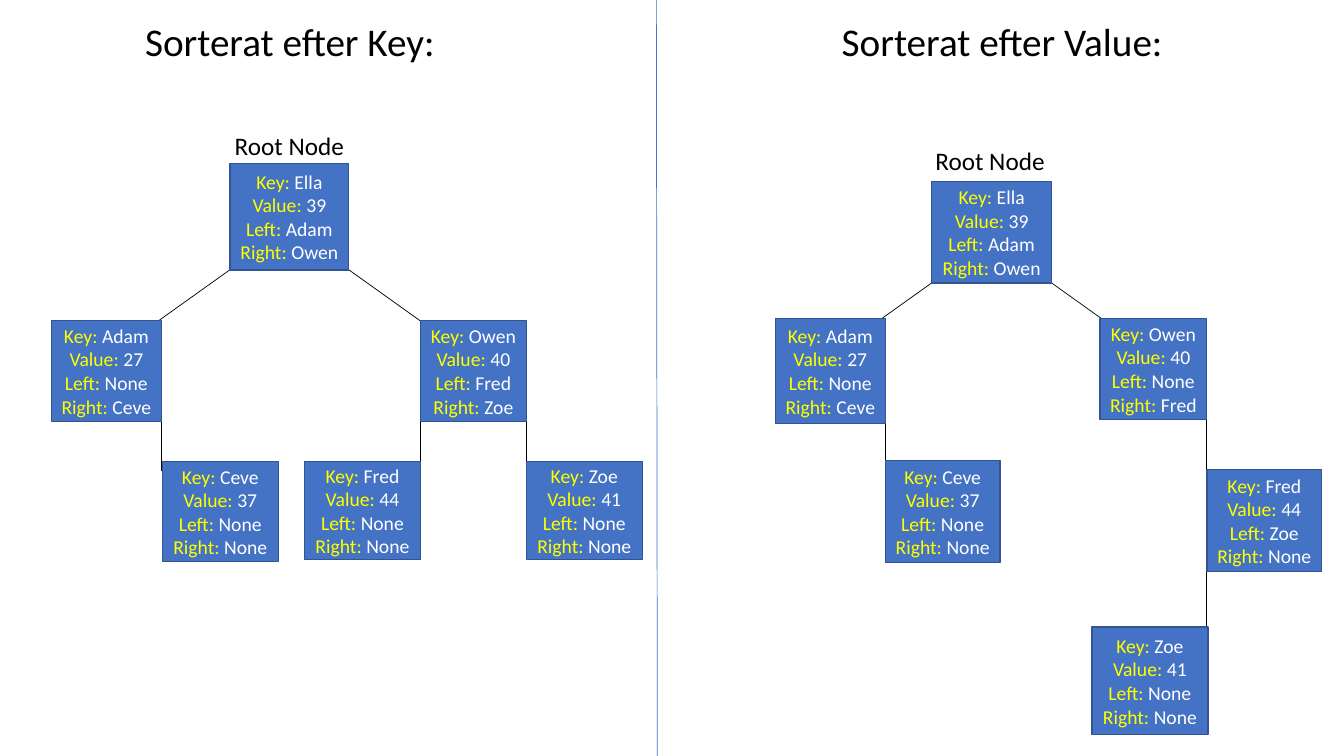
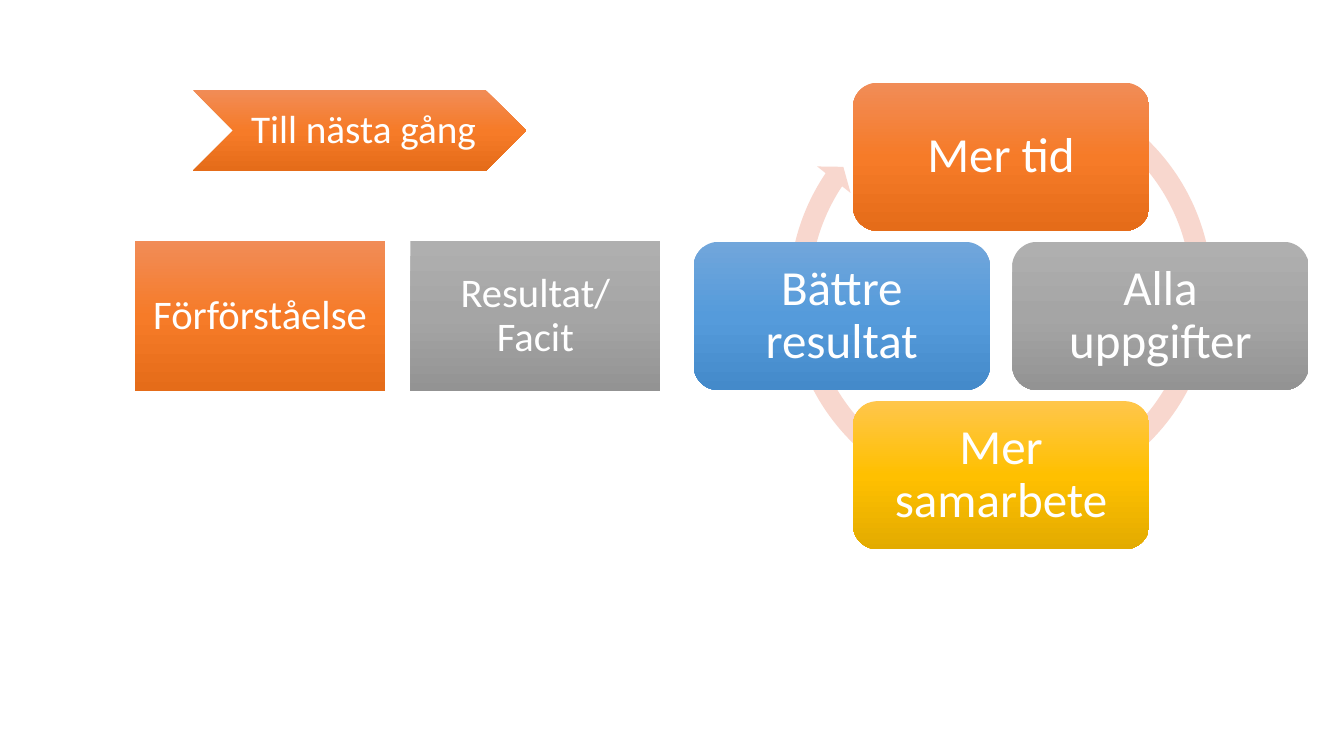
import copy

import pptx
import pptx.dml.color
import pptx.enum.shapes
import pptx.enum.text
import pptx.oxml
import pptx.oxml.ns
import pptx.util

Inches = pptx.util.Inches
Pt = pptx.util.Pt
SHAPE = pptx.enum.shapes.MSO_SHAPE
CENTER = pptx.enum.text.PP_ALIGN.CENTER
MIDDLE = pptx.enum.text.MSO_ANCHOR.MIDDLE
GROW = pptx.enum.text.MSO_AUTO_SIZE.SHAPE_TO_FIT_TEXT

FONT = "Calibri"
BLACK, WHITE, YELLOW = "000000", "FFFFFF", "FFFF00"
BLUE, NODE_BORDER, CYCLE_RING = "4472C4", "325491", "F8D7CE"
ORANGE_SHADES = ("F18C57", "F67B28", "E56C19")
GRAY_SHADES = ("AFAFAF", "A5A5A5", "939393")
GOLD_SHADES = ("FFC64B", "FFC000", "E3AB00")
BLUE_SHADES = ("71A6DB", "559BDB", "448ACA")

FIELDS = ("Key: ", "Value: ", "Left: ", "Right: ")
BRANCH_INSET = (0.08, 0.06)
BRANCH_REACH = (1.19, 0.85)

KEY_TREE = {
    "title": ("Sorterat efter Key:", (1.34, 0.12, 3.32, 0.57)),
    "root_label": (2.23, 1.24, 3, 0.4),
    "nodes": {
        "Ella": ((2.28, 1.62, 1.18, 1.06), ("39", "Adam", "Owen")),
        "Adam": ((0.51, 3.18, 1.09, 1), ("27", "None", "Ceve")),
        "Owen": ((4.17, 3.18, 1.05, 1), ("40", "Fred", "Zoe")),
        "Fred": ((3.02, 4.58, 1.15, 0.97), ("44", "None", "None")),
        "Zoe": ((5.22, 4.58, 1.15, 0.97), ("41", "None", "None")),
        "Ceve": ((1.61, 4.58, 1.15, 0.99), ("37", "None", "None")),
    },
    "drops": (("Owen", "right", 3.72, 5.07), ("Owen", "left", 3.53, 5.09),
              ("Adam", "right", 4.17, 4.67)),
}
VALUE_TREE = {
    "title": ("Sorterat efter Value:", (8.25, 0.12, 3.59, 0.57)),
    "root_label": (9.18, 1.39, 3, 0.4),
    "nodes": {
        "Ella": ((9.24, 1.8, 1.19, 1.01), ("39", "Adam", "Owen")),
        "Adam": ((7.69, 3.16, 1.09, 1.04), ("27", "None", "Ceve")),
        "Owen": ((10.91, 3.16, 1.06, 1), ("40", "None", "Fred")),
        "Fred": ((11.97, 4.66, 1.14, 1.01), ("44", "Zoe", "None")),
        "Zoe": ((10.83, 6.22, 1.15, 1.07), ("41", "None", "None")),
        "Ceve": ((8.78, 4.57, 1.14, 1.01), ("37", "None", "None")),
    },
    "drops": (("Fred", "left", 5.07, 6.42), ("Owen", "right", 3.33, 4.89),
              ("Adam", "right", 4.16, 4.66)),
}


def rgb(value):
    return pptx.dml.color.RGBColor.from_string(value)


def apply(target, formats):
    for name, value in formats.items():
        setattr(target, name, value)


def add_run(paragraph, text, size, color):
    run = paragraph.add_run()
    run.text = text
    apply(run.font, {"name": FONT, "size": Pt(size)})
    run.font.color.rgb = rgb(color)


def add_label(slide, text, box, size):
    frame = slide.shapes.add_textbox(*map(Inches, box)).text_frame
    apply(frame, {"word_wrap": True, "auto_size": GROW})
    add_run(frame.paragraphs[0], text, size, BLACK)


def add_line(slide, start, end, color=BLACK):
    line = slide.shapes.add_connector(
        pptx.enum.shapes.MSO_CONNECTOR.STRAIGHT, *map(Inches, start + end))
    line.line.color.rgb = rgb(color)
    line.line.width = Pt(0.5)
    line._element.spPr.append(pptx.oxml.parse_xml(
        f'<a:effectLst {pptx.oxml.ns.nsdecls("a")}/>'))


def add_flat_shape(slide, kind, box, fill):
    shape = slide.shapes.add_shape(kind, *map(Inches, box))
    shape.shadow.inherit = False
    shape.line.fill.background()
    shape.fill.solid()
    shape.fill.fore_color.rgb = rgb(fill)
    return shape


def add_node(slide, key, box, values):
    node = add_flat_shape(slide, SHAPE.RECTANGLE, box, BLUE)
    node.line.color.rgb = rgb(NODE_BORDER)
    node.line.width = Pt(1)
    frame = node.text_frame
    apply(frame, {"word_wrap": False, "vertical_anchor": MIDDLE})
    for index, (field, value) in enumerate(zip(FIELDS, (key,) + values)):
        paragraph = frame.add_paragraph() if index else frame.paragraphs[0]
        paragraph.alignment = CENTER
        add_run(paragraph, field, 14, YELLOW)
        add_run(paragraph, value, 14, WHITE)


def add_tree(slide, tree):
    nodes = tree["nodes"]
    for parent, side, top, bottom in tree["drops"]:
        left, _, width, _ = nodes[parent][0]
        x = left + width if side == "right" else left
        add_line(slide, (x, top), (x, bottom))
    left, top, width, height = nodes["Ella"][0]
    y = top + height - BRANCH_INSET[1]
    for corner, direction in ((left + width, 1), (left, -1)):
        x = corner - direction * BRANCH_INSET[0]
        add_line(slide, (x, y),
                 (x + direction * BRANCH_REACH[0], y + BRANCH_REACH[1]))
    for key, (box, values) in nodes.items():
        add_node(slide, key, box, values)
    add_label(slide, "Root Node", tree["root_label"], 18)
    add_label(slide, *tree["title"], 28)


def shade(shape, shades):
    shape.fill.gradient()
    shape.fill.gradient_angle = 270
    stop_list = shape._element.spPr.find(".//" + pptx.oxml.ns.qn("a:gsLst"))
    stop_list.append(copy.deepcopy(stop_list[0]))
    for stop, position, color in zip(shape.fill.gradient_stops, (0, 0.5, 1), shades):
        stop.position = position
        stop.color.rgb = rgb(color)


def add_panel(slide, kind, text, box, shades, size, insets):
    panel = add_flat_shape(slide, kind, box, shades[1])
    shade(panel, shades)
    frame = panel.text_frame
    margins = ("margin_left", "margin_top", "margin_right", "margin_bottom")
    apply(frame, dict(zip(margins, map(Inches, insets))))
    apply(frame, {"word_wrap": True, "vertical_anchor": MIDDLE})
    apply(frame.paragraphs[0], {"alignment": CENTER, "line_spacing": 0.9})
    add_run(frame.paragraphs[0], text, size, WHITE)


def add_cycle(slide):
    ring = add_flat_shape(slide, SHAPE.CIRCULAR_ARROW, (7.72, 0.69, 4.41, 4.41), CYCLE_RING)
    for index, value in enumerate((0.047, 2.729, 128.348, 180.286, 0.048)):
        ring.adjustments[index] = value
    left, top, step = 8.46, 2.4, 1.58
    for text, across, down, shades in (
            ("Mer tid", 0, -1, ORANGE_SHADES),
            ("Alla uppgifter", 1, 0, GRAY_SHADES),
            ("Mer samarbete", 0, 1, GOLD_SHADES),
            ("Bättre resultat", -1, 0, BLUE_SHADES)):
        box = (left + across * step, top + down * step, 2.94, 1.47)
        add_panel(slide, SHAPE.ROUNDED_RECTANGLE, text, box, shades, 35, (0.15,) * 4)


def build_trees(slide):
    add_tree(slide, VALUE_TREE)
    add_tree(slide, KEY_TREE)
    add_line(slide, (6.51, 0), (6.52, 7.5), BLUE)


def build_next_time(slide):
    topics = (("Förförståelse", ORANGE_SHADES), ("Resultat/Facit", GRAY_SHADES))
    for index, (topic, shades) in enumerate(topics):
        add_panel(slide, SHAPE.RECTANGLE, topic, (1.34 + index * 2.73, 2.39, 2.48, 1.49),
                  shades, 29, (0.12,) * 4)
    add_cycle(slide)
    add_panel(slide, SHAPE.CHEVRON, "Till nästa gång", (1.91, 0.89, 3.31, 0.81),
              ORANGE_SHADES, 28, (0.12, 0.04, 0.04, 0.04))


def main():
    deck = pptx.Presentation()
    apply(deck, {"slide_width": Inches(13.33), "slide_height": Inches(7.5)})
    for build in (build_trees, build_next_time):
        build(deck.slides.add_slide(deck.slide_layouts[6]))
    deck.save("out.pptx")


if __name__ == "__main__":
    main()
